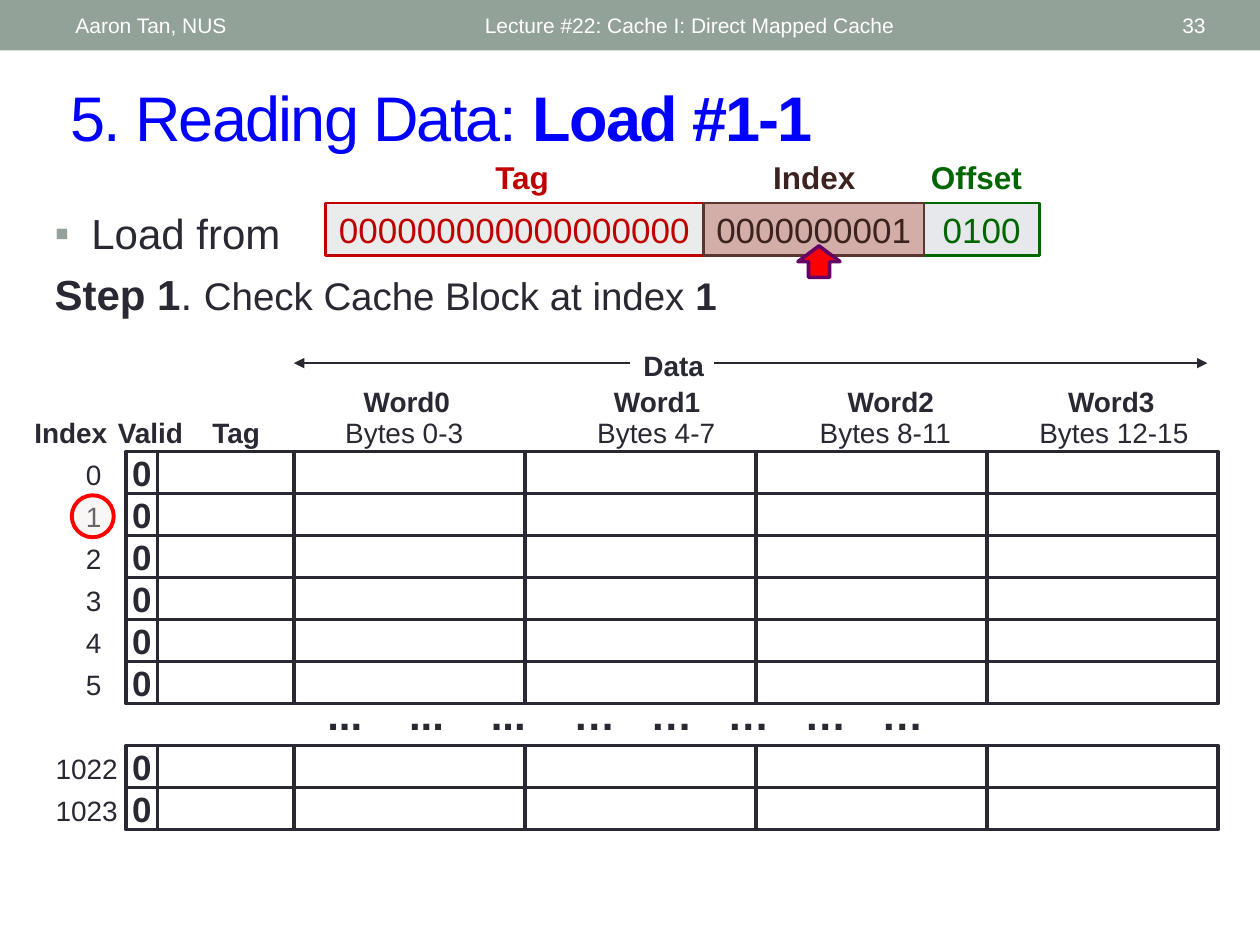
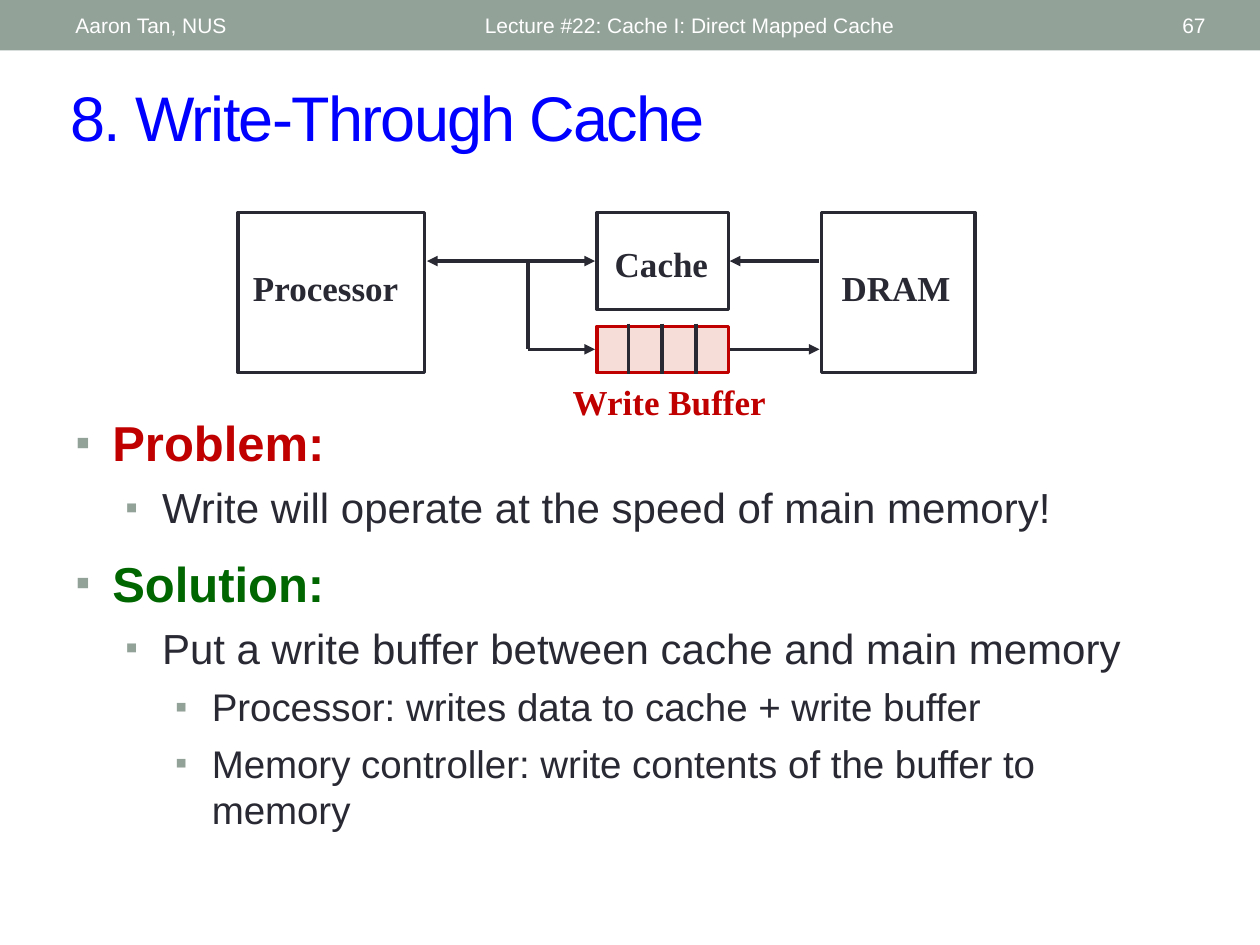
"""Builds two lecture slides on direct mapped caches."""
from dataclasses import dataclass

from lxml.etree import SubElement
from pptx import Presentation
from pptx.dml.color import RGBColor
from pptx.enum.shapes import MSO_CONNECTOR as Connector, MSO_SHAPE as Shape
from pptx.enum.text import MSO_ANCHOR as Anchor, MSO_AUTO_SIZE as AutoSize, PP_ALIGN as Align
from pptx.oxml.ns import qn
from pptx.util import Pt


@dataclass(frozen=True)
class Theme:
    """Colours, fonts and type sizes."""
    ink: str = "292934"
    band: str = "93A299"
    title: str = "0000FF"
    white: str = "FFFFFF"
    red: str = "C00000"
    green: str = "006600"
    brown: str = "3C231F"
    brown_line: str = "5B352E"
    tag_fill: str = "E9ECEB"
    index_fill: str = "D3AEA8"
    offset_fill: str = "E6E8EC"
    buffer_fill: str = "F6DDD8"
    ring_fill: str = "EFE9E1"
    signal: str = "FF0000"
    purple: str = "660066"
    sans: str = "Arial"
    serif: str = "Times New Roman"
    title_size: int = 36
    heading_size: int = 28
    body_size: int = 24
    detail_size: int = 22
    cell_size: int = 20
    field_size: int = 18
    label_size: int = 16
    footer_size: int = 12


THEME = Theme()


def add_xml(parent, tag, **attributes):
    """Append a DrawingML child."""
    return SubElement(parent, qn(tag), {key: str(value) for key, value in attributes.items()})


class Deck:
    """Holds the style and the current slide."""

    def __init__(self, theme):
        """Start an empty 10 by 7.5 inch presentation."""
        self.theme = theme
        self.presentation = Presentation()
        self.presentation.slide_width = Pt(720)
        self.presentation.slide_height = Pt(540)
        self.slide = None

    def style(self, run, size, color=None, bold=False, font=None):
        """Format one run."""
        run.font.name = font or self.theme.sans
        run.font.size = Pt(size)
        run.font.bold = bold
        run.font.color.rgb = RGBColor.from_string(color or self.theme.ink)

    def add_pieces(self, paragraph, pieces):
        """Fill a paragraph with (text, size, color, bold) pieces."""
        for text, *look in pieces:
            run = paragraph.add_run()
            run.text = text
            self.style(run, *look)

    def place(self, shape, box):
        """Move and size a shape."""
        shape.left, shape.top, shape.width, shape.height = map(Pt, box)

    def new_slide(self, number, title):
        """Add a slide with band, footers and title."""
        theme = self.theme
        self.slide = self.presentation.slides.add_slide(self.presentation.slide_layouts[1])
        self.shape((0, 0, 720, 28.8), theme.band)
        footers = (
            ("Lecture #22: Cache I: Direct Mapped Cache", 270, 324, Align.LEFT),
            (str(number), 628, 68, Align.RIGHT),
            ("Aaron Tan, NUS", 36, 228, Align.LEFT),
        )
        for text, left, width, align in footers:
            self.text(text, (left, 1.5, width, 26), theme.footer_size, theme.white,
                      align=align, anchor=Anchor.MIDDLE)
        holder = self.slide.shapes.title
        self.place(holder, (33, 41, 663, 50.4))
        frame = holder.text_frame
        frame.auto_size = AutoSize.NONE
        frame.vertical_anchor = Anchor.MIDDLE
        paragraph = frame.paragraphs[0]
        paragraph.alignment = Align.LEFT
        self.add_pieces(paragraph,
                        [(text, theme.title_size, theme.title, bold) for text, bold in title])
        for run in paragraph.runs:
            run.font._element.set("spc", "-100")

    def body(self, box, items):
        """Fill the body with (level, indent, hang, before, bullet percent, pieces) items."""
        holder = self.slide.placeholders[1]
        self.place(holder, box)
        frame = holder.text_frame
        frame.auto_size = AutoSize.NONE
        for position, (level, indent, hang, before, bullet, pieces) in enumerate(items):
            paragraph = frame.add_paragraph() if position else frame.paragraphs[0]
            paragraph.level = level
            paragraph.space_before = Pt(before)
            self.add_pieces(paragraph, pieces)
            properties = paragraph._p.get_or_add_pPr()
            properties.set("marL", str(Pt(indent)))
            properties.set("indent", str(Pt(-hang)))
            if not bullet:
                add_xml(properties, "a:buNone")
                continue
            add_xml(add_xml(properties, "a:buClr"), "a:srgbClr", val=self.theme.band)
            add_xml(properties, "a:buSzPct", val=bullet * 1000)
            add_xml(properties, "a:buFont", typeface=self.theme.sans)
            add_xml(properties, "a:buChar", char="▪")

    def shape(self, box, fill=None, line=None, weight=2.0, kind=Shape.RECTANGLE, opacity=None):
        """Add a preset shape."""
        shape = self.slide.shapes.add_shape(kind, *map(Pt, box))
        shape.shadow.inherit = False
        if fill:
            shape.fill.solid()
            shape.fill.fore_color.rgb = RGBColor.from_string(fill)
        else:
            shape.fill.background()
        if opacity:
            color = shape._element.spPr.find(qn("a:solidFill"))[0]
            add_xml(color, "a:alpha", val=opacity * 1000)
        if line:
            shape.line.color.rgb = RGBColor.from_string(line)
            shape.line.width = Pt(weight)
        else:
            shape.line.fill.background()
        return shape

    def caption(self, shape, text, size, color=None, bold=False):
        """Put centred text inside a shape."""
        frame = shape.text_frame
        frame.text = text
        frame.word_wrap = False
        frame.vertical_anchor = Anchor.MIDDLE
        frame.paragraphs[0].alignment = Align.CENTER
        self.style(frame.paragraphs[0].runs[0], size, color, bold)

    def text(self, text, box, size, color=None, bold=False, font=None,
             align=Align.LEFT, anchor=Anchor.TOP, wrap=True):
        """Add a one-line text box."""
        frame = self.slide.shapes.add_textbox(*map(Pt, box)).text_frame
        frame.word_wrap = wrap
        frame.vertical_anchor = anchor
        frame.text = text
        paragraph = frame.paragraphs[0]
        paragraph.alignment = align
        self.style(paragraph.runs[0], size, color, bold, font)
        return paragraph

    def label(self, text, centre, top, width, bold=False):
        """Add a table label centred on a position."""
        self.text(text, (centre - width / 2, top, width, 26.6), self.theme.label_size,
                  bold=bold, align=Align.CENTER, wrap=False)

    def line(self, start, end, weight=2.0, head=False, tail=False):
        """Add a straight line, with arrowheads if wanted."""
        connector = self.slide.shapes.add_connector(Connector.STRAIGHT, *map(Pt, start + end))
        connector.line.color.rgb = RGBColor.from_string(self.theme.ink)
        connector.line.width = Pt(weight)
        outline = connector.line._get_or_add_ln()
        for tag, wanted in (("a:headEnd", head), ("a:tailEnd", tail)):
            if wanted:
                add_xml(outline, tag, type="triangle")
        add_xml(connector._element.spPr, "a:effectLst")


def cache_table(deck):
    """Draw the cache rows with their headings."""
    theme = deck.theme
    top, row_height = 258, 24
    column_widths = (18, 78, 132, 132, 132, 132)
    slots = {slot: str(slot) for slot in range(6)} | {7: "1022", 8: "1023"}
    for slot, index in slots.items():
        row_top = top + slot * row_height
        left = 72
        for column, width in enumerate(column_widths):
            cell = deck.shape((left, row_top, width, row_height), line=theme.ink)
            if column == 0:
                deck.caption(cell, "0", theme.cell_size, bold=True)
            left += width
        if len(index) == 1:
            deck.label(index, 53.5, row_top, 24.5)
        else:
            deck.label(index, 49.5, row_top, 51)

    dots = deck.text("\t".join(["..."] * 3 + ["…"] * 5), (180, 390, 396, 58),
                     theme.body_size, bold=True)
    tabs = add_xml(dots._p.get_or_add_pPr(), "a:tabLst")
    for stop in [46.7, 93.4] + [140.6 + 44 * step for step in range(5)]:
        add_xml(tabs, "a:tab", pos=Pt(stop), algn="l")

    for text, centre, width in (("Index", 40.5, 57), ("Valid", 86, 52.5), ("Tag", 135, 42.5)):
        deck.label(text, centre, 234, width, True)
    words = (("0-3", 232.5, 231, 83), ("4-7", 375.5, 375, 83),
             ("8-11", 509, 506, 91), ("12-15", 635, 636.5, 101))
    for word, (span, word_centre, span_centre, width) in enumerate(words):
        deck.label(f"Word{word}", word_centre, 216, 64.6, True)
        deck.label(f"Bytes {span}", span_centre, 234, width)
    deck.label("Data", 385, 195.8, 50, True)
    for start, end in ((360, 168), (408, 690)):
        deck.line((start, 207.5), (end, 207.5), 0.75, tail=True)


def address_fields(deck):
    """Draw the tag, index and offset parts of the address."""
    theme = deck.theme
    fields = (
        ("Tag", "0" * 18, 186, 216, 298.4, 57, theme.tag_fill, theme.red, theme.red),
        ("Offset", "0100", 528, 66, 558, 84, theme.offset_fill, theme.green, theme.green),
        ("Index", "0000000001", 402, 126, 465.3, 78.5, theme.index_fill, theme.brown_line,
         theme.brown),
    )
    for name, bits, left, width, centre, name_width, fill, line, color in fields:
        field = deck.shape((left, 116, width, 30), fill, line, 1.5)
        deck.caption(field, bits, theme.cell_size, color)
        deck.text(name, (centre - name_width / 2, 86.5, name_width, 29), theme.field_size,
                  color, True, align=Align.CENTER)


def reading_slide(deck):
    """Build the load example."""
    theme = deck.theme
    deck.new_slide(33, [("5. Reading Data: ", False), ("Load #1-1", True)])
    cache_table(deck)
    deck.body((24, 115, 648, 75.6), [
        (0, 21, 21, 6, 100, [("Load from", theme.body_size)]),
        (0, 14.4, 14.4, 6, None, [
            ("Step 1", theme.body_size, theme.ink, True),
            (". ", theme.body_size),
            ("Check Cache Block at index ", theme.detail_size),
            ("1", theme.detail_size, theme.ink, True),
        ]),
    ])
    deck.shape((41, 283, 24, 24), theme.ring_fill, theme.signal, 2.25, Shape.OVAL, 32)
    address_fields(deck)
    pointer = deck.shape((459, 137.5, 18, 24), theme.signal, theme.purple, 2.08,
                         Shape.LEFT_ARROW)
    pointer.rotation = 90


def buffer_slide(deck):
    """Build the buffer diagram and its explanation."""
    theme = deck.theme
    deck.new_slide(67, [("8. Write-Through Cache", False)])

    top, cache_left, cache_width = 121.5, 341.2, 75
    for left, width, height in ((136, 106.5, 91.5), (cache_left, cache_width, 55.5),
                                (469.5, 87.8, 91.5)):
        deck.shape((left, top, width, height), line=theme.ink)
    deck.shape((cache_left, 186.5, cache_width, 26.5), theme.buffer_fill, theme.red)
    for divider in range(3):
        left = 359.2 + 19.2 * divider
        deck.line((left, 185), (left, 214))

    names = (("Processor", 137.5, 149, 105, theme.ink, Align.LEFT),
             ("Cache", 341.2, 134.8, 73.5, theme.ink, Align.CENTER),
             ("DRAM", 473.8, 149, 77, theme.ink, Align.LEFT),
             ("Write Buffer", 320.2, 214, 127, theme.red, Align.LEFT))
    for text, left, name_top, width, color, align in names:
        deck.text(text, (left, name_top, width, 31), theme.cell_size, color, True,
                  theme.serif, align, wrap=False)

    upper, lower, branch = 149.2, 199.6, 301.6
    deck.line((branch, lower), (340, lower), tail=True)
    deck.line((244, upper), (340, upper), head=True, tail=True)
    deck.line((417, lower), (468.3, lower), tail=True)
    deck.line((417, upper), (468.3, upper), head=True)
    deck.line((branch, upper), (branch, lower))

    heading, body, detail = theme.heading_size, theme.body_size, theme.detail_size
    deck.body((36, 232, 648, 250.5), [
        (level, 21 + 28.4 * level, 21, before, 90 if level == 2 else 85, [piece])
        for level, before, piece in (
            (0, 6, ("Problem:", heading, theme.red, True)),
            (1, 6, ("Write will operate at the speed of main memory!", body)),
            (0, 12, ("Solution:", heading, theme.green, True)),
            (1, 6, ("Put a write buffer between cache and main memory", body)),
            (2, 6, ("Processor: writes data to cache + write buffer", detail)),
            (2, 6, ("Memory controller: write contents of the buffer to memory", detail)),
        )
    ])


def main():
    """Build and save the slides."""
    deck = Deck(THEME)
    reading_slide(deck)
    buffer_slide(deck)
    deck.presentation.save("out.pptx")


if __name__ == "__main__":
    main()
